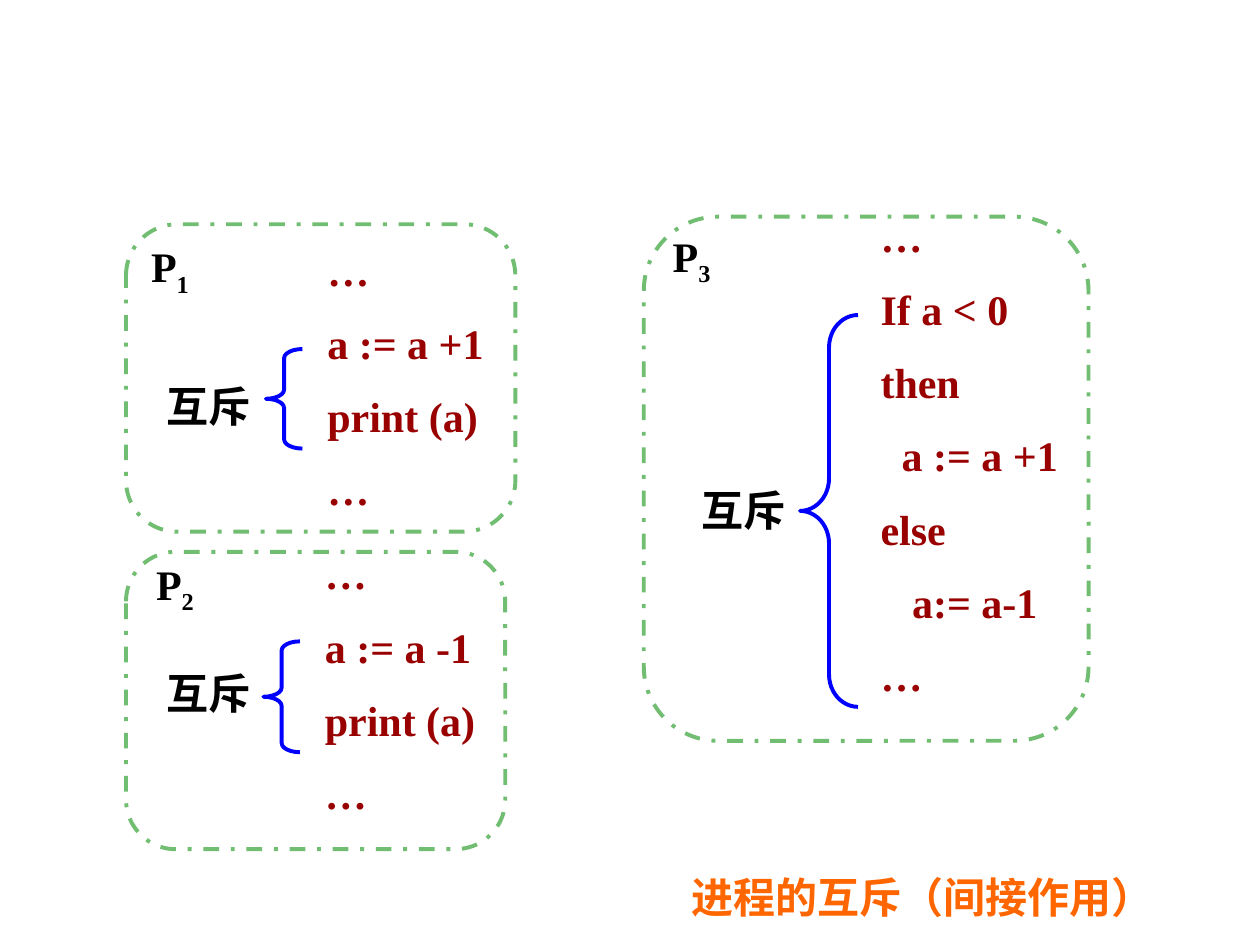
from lxml import etree
from pptx import Presentation
from pptx.dml.color import RGBColor
from pptx.enum.dml import MSO_LINE
from pptx.enum.shapes import MSO_SHAPE
from pptx.enum.text import MSO_ANCHOR, MSO_AUTO_SIZE, PP_ALIGN
from pptx.oxml.ns import qn
from pptx.util import Inches, Pt

BRACE, FRAME = MSO_SHAPE.LEFT_BRACE, MSO_SHAPE.ROUNDED_RECTANGLE
SOLID, DASH_DOT = MSO_LINE.SOLID, MSO_LINE.DASH_DOT
THEME = {
    "latin": "Times New Roman",
    "chinese": "Noto Sans CJK SC",
    "size": Pt(24),
    "line": Pt(2.25),
    "gap": Pt(13),
    "indent": Pt(6),
    "code": RGBColor(0x99, 0x00, 0x00),
    "label": RGBColor(0x00, 0x00, 0x00),
    "title": RGBColor(0xFF, 0x66, 0x00),
    "brace": RGBColor(0x00, 0x00, 0xFF),
    "frame": RGBColor(0x71, 0xBD, 0x71),
}

# Each process: frame, name, code, mutual-exclusion label and brace.
# Code lines are pairs of indent steps and text.
PROCESSES = [
    {"number": "1", "frame": (1, 1.78, 3.09, 2.44),
     "name": (1.1, 1.86, 0.98, 0.5), "code": (2.5, 1.89, 1.86, 2.32),
     "lines": [(0, "…"), (0, "a := a +1"), (0, "print (a)"), (0, "…")],
     "label": (1.22, 2.97, 1.18, 0.5),
     "brace": (2.11, 2.77, 0.29, 0.79), "curve": 0.25},
    {"number": "2", "frame": (1, 4.38, 3.01, 2.36),
     "name": (1.14, 4.38, 0.98, 0.57), "code": (2.48, 4.3, 1.86, 2.67),
     "lines": [(0, "…"), (0, "a := a -1"), (0, "print (a)"), (0, "…")],
     "label": (1.22, 5.25, 1.19, 0.57),
     "brace": (2.09, 5.09, 0.29, 0.88), "curve": 0.25},
    {"number": "3", "frame": (5.11, 1.72, 3.53, 4.16),
     "name": (5.24, 1.78, 1.14, 0.57), "code": (6.89, 1.62, 2.28, 4.78),
     "lines": [(0, "…"), (0, "If a < 0"), (0, "then"), (2, "a := a +1"),
               (0, "else"), (3, "a:= a-1"), (0, "…")],
     "label": (5.47, 3.8, 0.98, 0.57),
     "brace": (6.35, 2.5, 0.46, 3.11), "curve": 0.56},
]

presentation = Presentation()
presentation.slide_width, presentation.slide_height = Inches(10), Inches(7.5)
slide = presentation.slides.add_slide(presentation.slide_layouts[5])


def add_run(paragraph, text, color, latin=THEME["latin"]):
    run = paragraph.add_run()
    run.text = text
    run.font.color.rgb = color
    for name, value in {"name": latin, "size": THEME["size"], "bold": True}.items():
        setattr(run.font, name, value)
    east_asian = etree.Element(qn("a:ea"), typeface=THEME["chinese"])
    run.font._element.find(qn("a:latin")).addnext(east_asian)
    return run


def add_text(position, lines, color):
    frame = slide.shapes.add_textbox(*map(Inches, position)).text_frame
    frame.word_wrap = True
    for index, (steps, text) in enumerate(lines):
        paragraph = frame.add_paragraph() if index else frame.paragraphs[0]
        if index:
            paragraph.space_before = THEME["gap"]
        if steps:
            paragraph._p.get_or_add_pPr().set("marL", str(steps * THEME["indent"]))
        add_run(paragraph, text, color)
    return frame


# Title at the bottom right
title = slide.shapes.title
for name, value in zip(("left", "top", "width", "height"), (5.39, 6.87, 4.5, 0.57)):
    setattr(title, name, Inches(value))
title_format = {"word_wrap": True, "auto_size": MSO_AUTO_SIZE.NONE,
                "vertical_anchor": MSO_ANCHOR.TOP}
for name, value in title_format.items():
    setattr(title.text_frame, name, value)
title_paragraph = title.text_frame.paragraphs[0]
title_paragraph.alignment = PP_ALIGN.LEFT
add_run(title_paragraph, "进程的互斥（间接作用）", THEME["title"], THEME["chinese"])

for process in PROCESSES:
    # Code, process name with subscript, and label
    add_text(process["code"], process["lines"], THEME["code"])
    name_frame = add_text(process["name"], [(0, "P")], THEME["label"])
    subscript = add_run(name_frame.paragraphs[0], process["number"], THEME["label"])
    subscript.font._element.set("baseline", "-25000")
    add_text(process["label"], [(0, "互斥")], THEME["label"])

    # Brace around the critical section, and the process frame
    for part, preset, dash in (("brace", BRACE, SOLID), ("frame", FRAME, DASH_DOT)):
        shape = slide.shapes.add_shape(preset, *map(Inches, process[part]))
        shape.shadow.inherit = False
        shape.fill.background()
        shape.line.color.rgb = THEME[part]
        shape.line.width = THEME["line"]
        shape.line.dash_style = dash
        if part == "brace":
            shape.adjustments[0] = process["curve"]

presentation.save("out.pptx")
